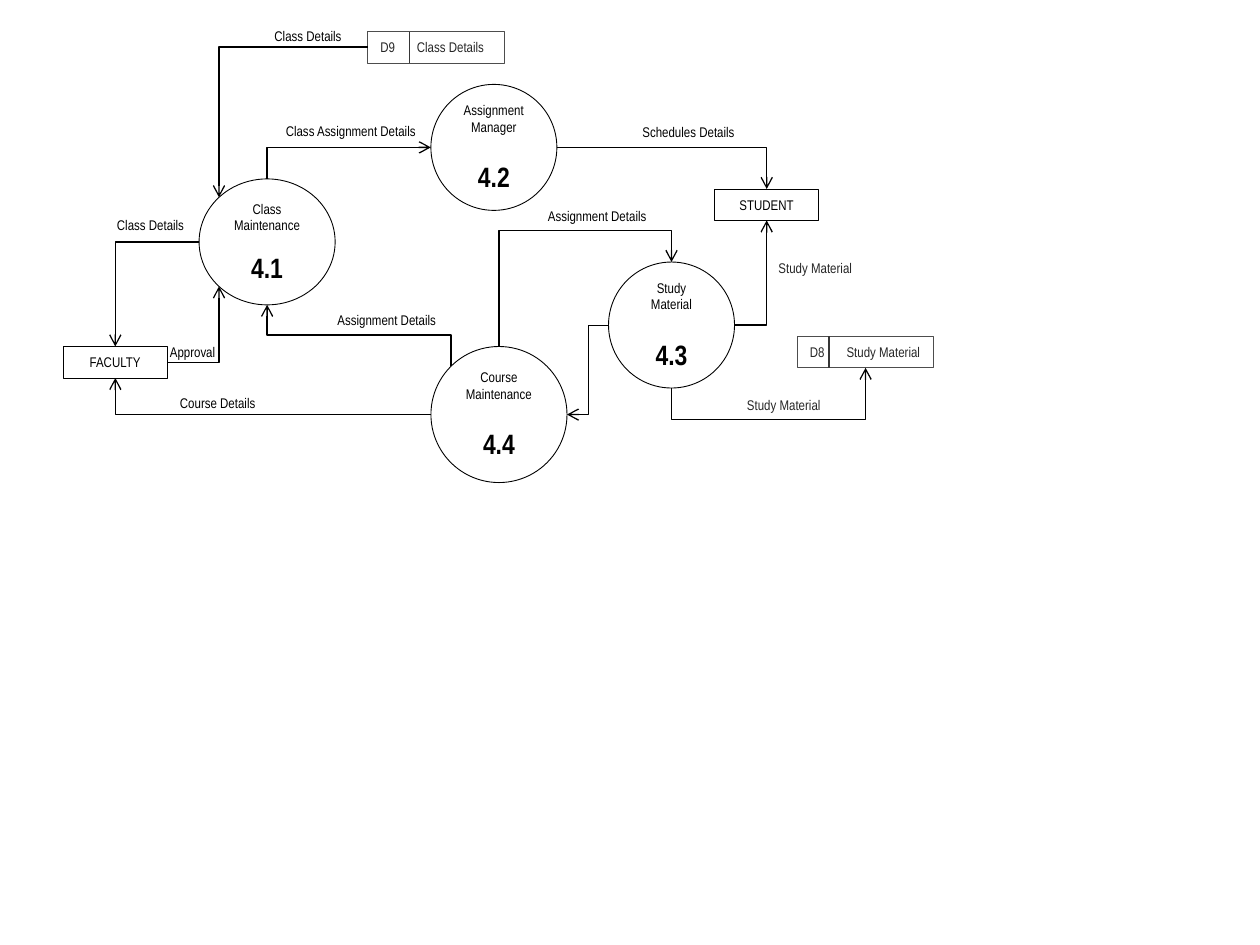
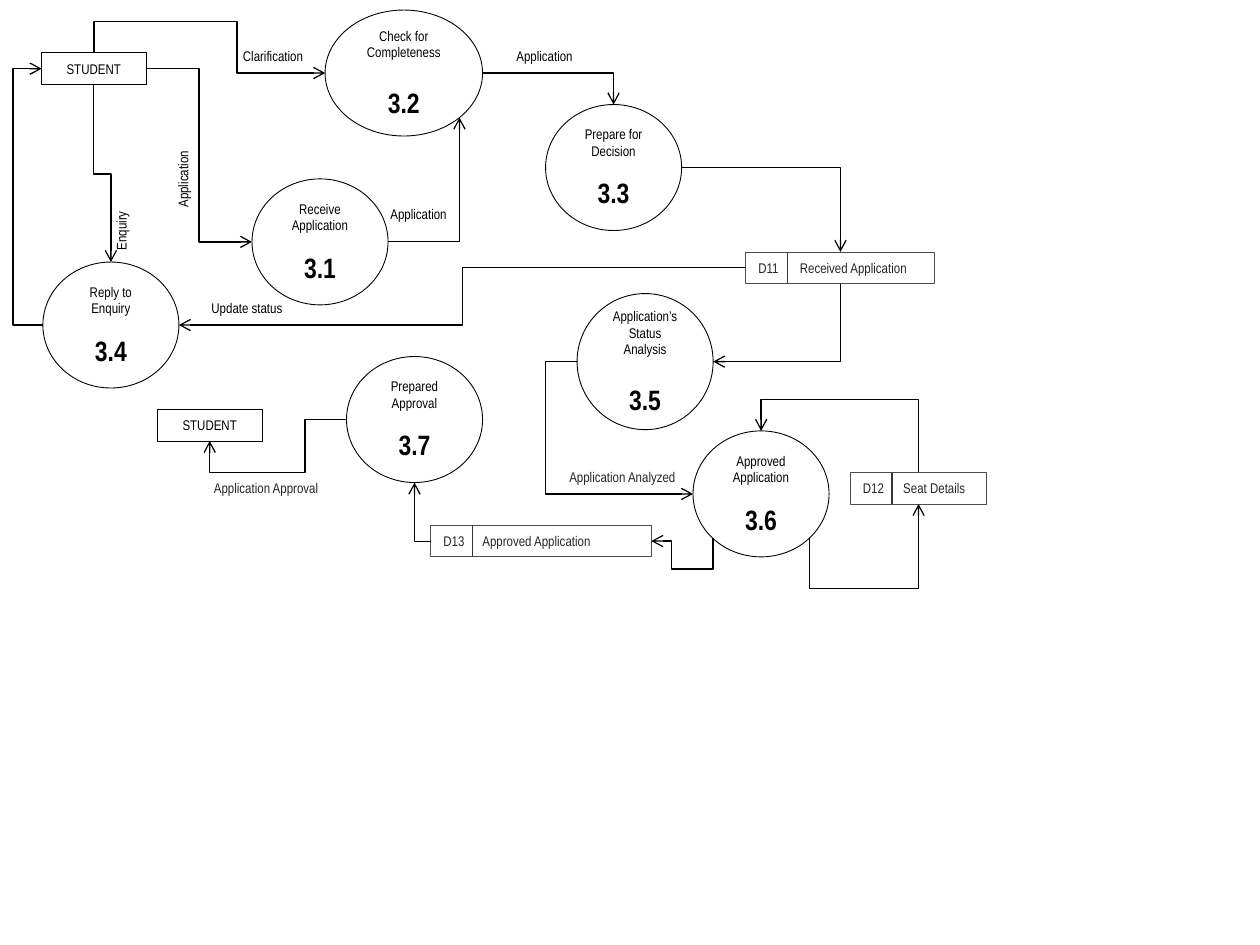
"""Build two data flow diagram slides: class management and admissions."""
from dataclasses import dataclass, field

from lxml import etree
from pptx import Presentation
from pptx import util as u
from pptx.dml.color import RGBColor
from pptx.enum import shapes, text
from pptx.oxml.ns import qn

FONT = "Arial Narrow"
BLACK, WHITE, GREY_TEXT, GREY_EDGE, DIVIDER = "000000", "FFFFFF", "262626", "4D4D4D", "363636"
BOX_H, ENTITY_W, LABEL_H = 0.25, 0.83, 0.24
DIAGONAL = 0.5 ** 1.5
LOW, HIGH = 0.5 - DIAGONAL, 0.5 + DIAGONAL
SITES = {
    "top": (0.5, 0), "top left": (LOW, LOW), "left": (0, 0.5), "bottom left": (LOW, HIGH),
    "bottom": (0.5, 1), "bottom right": (HIGH, HIGH), "right": (1, 0.5), "top right": (HIGH, LOW),
}
ELLIPSE_SITES = list(SITES)
RECT_SITES = ["top", "left", "bottom", "right"]


@dataclass
class Process:
    """A numbered circle."""
    number: str
    name: str
    x: float
    y: float
    w: float = 1.08
    h: float = 1
    gap: float = 9.5


@dataclass
class Entity:
    """An outside party in a plain box."""
    key: str
    name: str
    x: float
    y: float


@dataclass
class Store:
    """A data store with its code in a cell on the left."""
    code: str
    name: str
    x: float
    y: float
    w: float = 1.08
    split: float = 0.33
    tab: float = 0.32


@dataclass
class Flow:
    """A bent arrow between two sites, with its free bend positions."""
    start: str
    start_site: str
    end: str
    end_site: str
    bends: tuple = ()
    arrow: str = "tailEnd"


@dataclass
class Label:
    """A caption beside a flow."""
    text: str
    x: float
    y: float
    w: float = 0.83
    rotation: float = 0
    color: str = BLACK


@dataclass
class Diagram:
    """All parts of one slide."""
    processes: list
    entities: list
    stores: list
    flows: list
    labels: list
    nodes: dict = field(default_factory=dict)


def rgb(value: str) -> RGBColor:
    """Turn a hex string into a colour."""
    return RGBColor.from_string(value)


def write(p, content: str, *, size=8, bold=False, color=BLACK, align=None, before=0) -> None:
    """Write formatted text into a paragraph."""
    p.alignment = align
    p.space_before = u.Pt(before)
    r = p.add_run()
    r.text = content
    r.font.name, r.font.size, r.font.bold = FONT, u.Pt(size), bold
    r.font.color.rgb = rgb(color)


def add_node(s, key: str, diagram: Diagram, kind, box: tuple, edge=BLACK):
    """Draw an outlined shape and register it under its key."""
    sp = s.shapes.add_shape(kind, *map(u.Inches, box))
    sp.shadow.inherit = False
    sp.fill.solid()
    sp.fill.fore_color.rgb = rgb(WHITE)
    sp.line.color.rgb = rgb(edge)
    sp.line.width = u.Pt(0.5)
    tf = sp.text_frame
    tf.word_wrap = True
    tf.vertical_anchor = text.MSO_ANCHOR.MIDDLE
    diagram.nodes[key] = (sp.shape_id, kind, box)
    return tf


def add_line(s, kind, box: tuple, color=BLACK):
    """Draw a connector over a box given as left, top, width, height."""
    x, y, w, h = box
    c = s.shapes.add_connector(kind, *map(u.Inches, (x, y, x + w, y + h)))
    c.line.color.rgb = rgb(color)
    c.line.width = u.Pt(0.75)
    etree.SubElement(c.element.spPr, qn("a:effectLst"))
    return c


def add_process(s, diagram: Diagram, item: Process) -> None:
    """Draw a process circle with name and number."""
    tf = add_node(s, item.number, diagram, shapes.MSO_SHAPE.OVAL, (item.x, item.y, item.w, item.h))
    center = text.PP_ALIGN.CENTER
    write(tf.paragraphs[0], item.name, align=center)
    write(tf.add_paragraph(), item.number, size=16, bold=True, align=center, before=item.gap)


def add_entity(s, diagram: Diagram, item: Entity) -> None:
    """Draw an entity box."""
    box = (item.x, item.y, ENTITY_W, BOX_H)
    tf = add_node(s, item.key, diagram, shapes.MSO_SHAPE.RECTANGLE, box)
    write(tf.paragraphs[0], item.name, align=text.PP_ALIGN.CENTER)


def add_store(s, diagram: Diagram, item: Store) -> None:
    """Draw a data store and its divider."""
    box = (item.x, item.y, item.w, BOX_H)
    tf = add_node(s, item.code, diagram, shapes.MSO_SHAPE.RECTANGLE, box, GREY_EDGE)
    p = tf.paragraphs[0]
    write(p, f"{item.code}\t{item.name}", color=GREY_TEXT, align=text.PP_ALIGN.LEFT)
    tabs = etree.SubElement(p._p.get_or_add_pPr(), qn("a:tabLst"))
    etree.SubElement(tabs, qn("a:tab"), pos=str(u.Inches(item.tab)), algn="l")
    add_line(s, shapes.MSO_CONNECTOR.STRAIGHT, (item.x + item.split, item.y, 0, BOX_H), DIVIDER)


def locate(diagram: Diagram, key: str, site: str) -> tuple:
    """Return the shape id, site index and point of a connection site."""
    shape_id, kind, (x, y, w, h) = diagram.nodes[key]
    names = ELLIPSE_SITES if kind == shapes.MSO_SHAPE.OVAL else RECT_SITES
    fx, fy = SITES[site]
    return shape_id, names.index(site), (x + fx * w, y + fy * h)


def add_flow(s, diagram: Diagram, flow: Flow) -> None:
    """Draw a bent arrow attached to two nodes."""
    start_id, start_idx, begin = locate(diagram, flow.start, flow.start_site)
    end_id, end_idx, finish = locate(diagram, flow.end, flow.end_site)
    dx, dy = delta = [b - a for a, b in zip(begin, finish)]
    mid_x, mid_y = [(a + b) / 2 for a, b in zip(begin, finish)]
    sideways = flow.start_site in ("left", "right")
    if sideways:
        w, h = abs(dx), abs(dy)
        rotation, flip_h, flip_v = (0 if dx > 0 else 180), False, (dx > 0) != (dy > 0)
    else:
        w, h = abs(dy), abs(dx)
        rotation, flip_h, flip_v = (90 if dx * dy < 0 else 270), dx > 0, dy < 0
    c = add_line(s, shapes.MSO_CONNECTOR.ELBOW, (mid_x - w / 2, mid_y - h / 2, w, h))
    sp_pr = c.element.spPr
    xfrm = sp_pr.find(qn("a:xfrm"))
    for name, value in (("rot", rotation * 60000), ("flipH", int(flip_h)), ("flipV", int(flip_v))):
        if value:
            xfrm.set(name, str(value))
    geometry = sp_pr.find(qn("a:prstGeom"))
    geometry.set("prst", f"bentConnector{len(flow.bends) + 2}")
    guides = geometry.find(qn("a:avLst"))
    for i, bend in enumerate(flow.bends):
        axis = i % 2 if sideways else 1 - i % 2
        ratio = round((bend - begin[axis]) / delta[axis] * 100000)
        etree.SubElement(guides, qn("a:gd"), name=f"adj{i + 1}", fmla=f"val {ratio}")
    etree.SubElement(sp_pr.find(qn("a:ln")), qn(f"a:{flow.arrow}"), type="arrow")
    links = c.element.nvCxnSpPr.cNvCxnSpPr
    etree.SubElement(links, qn("a:stCxn"), id=str(start_id), idx=str(start_idx))
    etree.SubElement(links, qn("a:endCxn"), id=str(end_id), idx=str(end_idx))


def add_label(s, item: Label) -> None:
    """Draw a flow caption."""
    sp = s.shapes.add_textbox(*map(u.Inches, (item.x, item.y, item.w, LABEL_H)))
    sp.rotation = item.rotation
    tf = sp.text_frame
    tf.word_wrap = item.color == BLACK
    tf.auto_size = text.MSO_AUTO_SIZE.SHAPE_TO_FIT_TEXT
    write(tf.paragraphs[0], item.text, color=item.color)


def add_diagram(prs, diagram: Diagram) -> None:
    """Draw one diagram on a new blank slide."""
    s = prs.slides.add_slide(prs.slide_layouts[6])
    for items, draw in ((diagram.processes, add_process), (diagram.entities, add_entity),
                        (diagram.stores, add_store), (diagram.flows, add_flow)):
        for item in items:
            draw(s, diagram, item)
    for item in diagram.labels:
        add_label(s, item)


CLASSES = Diagram(
    processes=[
        Process("4.1", "Class Maintenance", 1.58, 1.42),
        Process("4.2", "Assignment Manager", 3.42, 0.67, w=1, gap=14),
        Process("4.3", "Study Material", 4.83, 2.08, w=1, gap=14),
        Process("4.4", "Course Maintenance", 3.42, 2.75, h=1.08, gap=14),
    ],
    entities=[Entity("faculty", "FACULTY", 0.5, 2.75), Entity("student", "STUDENT", 5.67, 1.5)],
    stores=[
        Store("D8", "Study Material", 6.33, 2.67, split=0.25, tab=0.29),
        Store("D9", "Class Details", 2.92, 0.25, tab=0.29),
    ],
    flows=[
        Flow("4.1", "left", "faculty", "top"),
        Flow("faculty", "bottom", "4.4", "left", arrow="headEnd"),
        Flow("4.1", "top", "4.2", "left"),
        Flow("4.2", "right", "student", "top"),
        Flow("4.3", "right", "student", "bottom"),
        Flow("4.3", "bottom", "D8", "bottom", (3.33,)),
        Flow("4.3", "left", "4.4", "right", (4.67,)),
        Flow("4.4", "top", "4.3", "top", (1.83,)),
        Flow("4.4", "top left", "4.1", "bottom", (2.66,)),
        Flow("faculty", "right", "4.1", "bottom left"),
        Flow("4.1", "top left", "D9", "left", arrow="headEnd"),
    ],
    labels=[
        Label("Class Details", 0.83, 1.67),
        Label("Approval", 1.25, 2.68),
        Label("Class Details", 2.08, 0.17),
        Label("Course Details", 1.33, 3.08),
        Label("Assignment Details", 2.58, 2.42, 1.08),
        Label("Class Assignment Details", 2.17, 0.92, 1.33),
        Label("Schedules Details", 5, 0.93, 1.58),
        Label("Assignment Details", 4.25, 1.6, 1.08),
        Label("Study Material", 5.83, 3.1, 0.81, color=GREY_TEXT),
        Label("Study Material", 6.08, 2.01, 0.81, color=GREY_TEXT),
    ],
)

ADMISSIONS = Diagram(
    processes=[
        Process("3.1", "Receive Application", 2, 1.42),
        Process("3.2", "Check for Completeness", 2.58, 0.08, w=1.25, gap=14),
        Process("3.3", "Prepare for Decision", 4.33, 0.83),
        Process("3.4", "Reply to Enquiry", 0.34, 2.08),
        Process("3.5", "Application’s Status Analysis", 4.58, 2.33, h=1.08, gap=14),
        Process("3.6", "Approved Application", 5.5, 3.42),
        Process("3.7", "Prepared Approval", 2.75, 2.83),
    ],
    entities=[Entity("applicant", "STUDENT", 0.33, 0.42), Entity("admitted", "STUDENT", 1.25, 3.25)],
    stores=[
        Store("D11", "Received Application", 5.92, 2, 1.5, tab=0.33),
        Store("D12", "Seat Details", 6.75, 3.75),
        Store("D13", "Approved Application", 3.42, 4.17, 1.75, tab=0.31),
    ],
    flows=[
        Flow("3.6", "left", "3.5", "left", (4.33,), "headEnd"),
        Flow("applicant", "right", "3.1", "left", (1.58,)),
        Flow("3.2", "right", "3.3", "top"),
        Flow("3.4", "left", "applicant", "left", (0.1,)),
        Flow("D11", "bottom", "3.5", "right"),
        Flow("3.4", "top", "applicant", "bottom", (1.38,), "headEnd"),
        Flow("applicant", "top", "3.2", "left", (0.17, 1.88)),
        Flow("D11", "top", "3.3", "right", arrow="headEnd"),
        Flow("3.1", "right", "3.2", "bottom right"),
        Flow("3.4", "right", "D11", "left", (3.67,), "headEnd"),
        Flow("D12", "bottom", "3.6", "bottom right", (4.67,), "headEnd"),
        Flow("3.6", "top", "D12", "top", (3.17,), "headEnd"),
        Flow("D13", "right", "3.6", "bottom left", (5.33, 4.52), "headEnd"),
        Flow("3.7", "bottom", "D13", "left", arrow="headEnd"),
        Flow("admitted", "bottom", "3.7", "left", (3.75, 2.42), "headEnd"),
    ],
    labels=[
        Label("Clarification", 1.83, 0.33),
        Label("Enquiry", 0.55, 1.55, rotation=270),
        Label("Update status", 1.58, 2.33),
        Label("Application", 1.08, 1.25, 0.75, rotation=270),
        Label("Application", 3, 1.58, 0.75),
        Label("Application", 4, 0.33, 0.75),
        Label("Application Analyzed", 4.42, 3.67, 1.07, color=GREY_TEXT),
        Label("Application Approval", 1.6, 3.76, 1.07, color=GREY_TEXT),
    ],
)

prs = Presentation()
prs.slide_width, prs.slide_height = u.Inches(10), u.Inches(7.5)
for page in (CLASSES, ADMISSIONS):
    add_diagram(prs, page)
prs.save("out.pptx")
